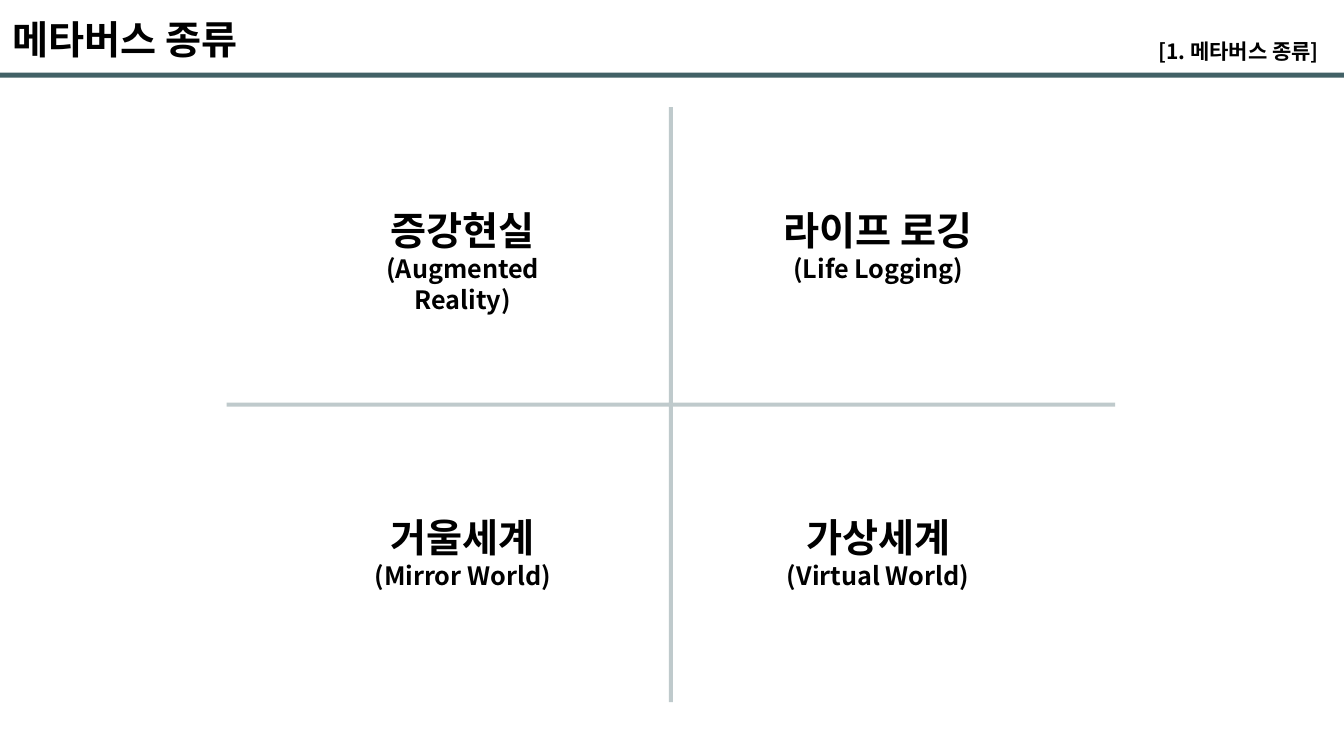
from lxml import etree
from pptx import Presentation
from pptx.dml.color import RGBColor
from pptx.enum.shapes import MSO_SHAPE
from pptx.enum.text import PP_ALIGN
from pptx.oxml.ns import qn
from pptx.util import Inches, Pt

RECTANGLE, PLUS = MSO_SHAPE.RECTANGLE, MSO_SHAPE.MATH_PLUS
LEFT, CENTER = PP_ALIGN.LEFT, PP_ALIGN.CENTER

TITLE = "메타버스 종류"
SECTION = "[1. 메타버스 종류]"
QUADRANTS = [
    [("증강현실", "(Augmented Reality)"), ("라이프 로깅", "(Life Logging)")],
    [("거울세계", "(Mirror World)"), ("가상세계", "(Virtual World)")],
]

COLORS = {"text": "000000", "teal": "1C4148"}
FONT = "Noto Sans CJK KR"
TITLE_SIZE, ENGLISH_SIZE, SECTION_SIZE = 28, 18, 15

SLIDE_WIDTH, SLIDE_HEIGHT = 13.33, 7.5
COLUMN_CENTERS = [4.59, 8.71]
ROW_TOPS = [2.0, 5.04]
LABEL_WIDTH, LABEL_HEIGHT = 2.68, 0.88


def add_text(slide, box, lines, alignment=LEFT):
    """Add a bold text box; lines holds (text, point size) pairs."""
    shape = slide.shapes.add_textbox(*map(Inches, box))
    text_frame = shape.text_frame
    text_frame.word_wrap = True
    text_frame.text = "\n".join(text for text, _ in lines)
    for paragraph, (_, size) in zip(text_frame.paragraphs, lines):
        paragraph.alignment = alignment
        for run in paragraph.runs:
            font = run.font
            font.size, font.bold, font.name = Pt(size), True, FONT
            font.color.rgb = RGBColor.from_string(COLORS["text"])
            properties = run._r.get_or_add_rPr()
            etree.SubElement(properties, qn("a:ea"), typeface=FONT)


def add_teal_shape(slide, kind, box, opacity):
    shape = slide.shapes.add_shape(kind, *map(Inches, box))
    shape.shadow.inherit = False
    shape.line.fill.background()
    shape.fill.solid()
    shape.fill.fore_color.rgb = RGBColor.from_string(COLORS["teal"])
    color = shape._element.spPr.find(qn("a:solidFill"))[0]
    etree.SubElement(color, qn("a:alpha"), val=str(opacity * 1000))
    return shape


def main():
    presentation = Presentation()
    presentation.slide_width = Inches(SLIDE_WIDTH)
    presentation.slide_height = Inches(SLIDE_HEIGHT)
    slide = presentation.slides.add_slide(presentation.slide_layouts[6])

    add_text(slide, (0.03, 0.1, 2.7, 0.57), [(TITLE, TITLE_SIZE)])
    add_teal_shape(slide, RECTANGLE, (0, 0.72, SLIDE_WIDTH, 0.05), 83)
    cross = add_teal_shape(slide, PLUS, (0.66, 0, 11.99, 8.03), 28)
    cross.adjustments[0] = 0.005

    for top, row in zip(ROW_TOPS, QUADRANTS):
        for center, (korean, english) in zip(COLUMN_CENTERS, row):
            box = (center - LABEL_WIDTH / 2, top, LABEL_WIDTH, LABEL_HEIGHT)
            lines = [(korean, TITLE_SIZE), (english, ENGLISH_SIZE)]
            add_text(slide, box, lines, CENTER)

    add_text(slide, (11.39, 0.33, 1.94, 0.35), [(SECTION, SECTION_SIZE)])
    presentation.save("out.pptx")


if __name__ == "__main__":
    main()
